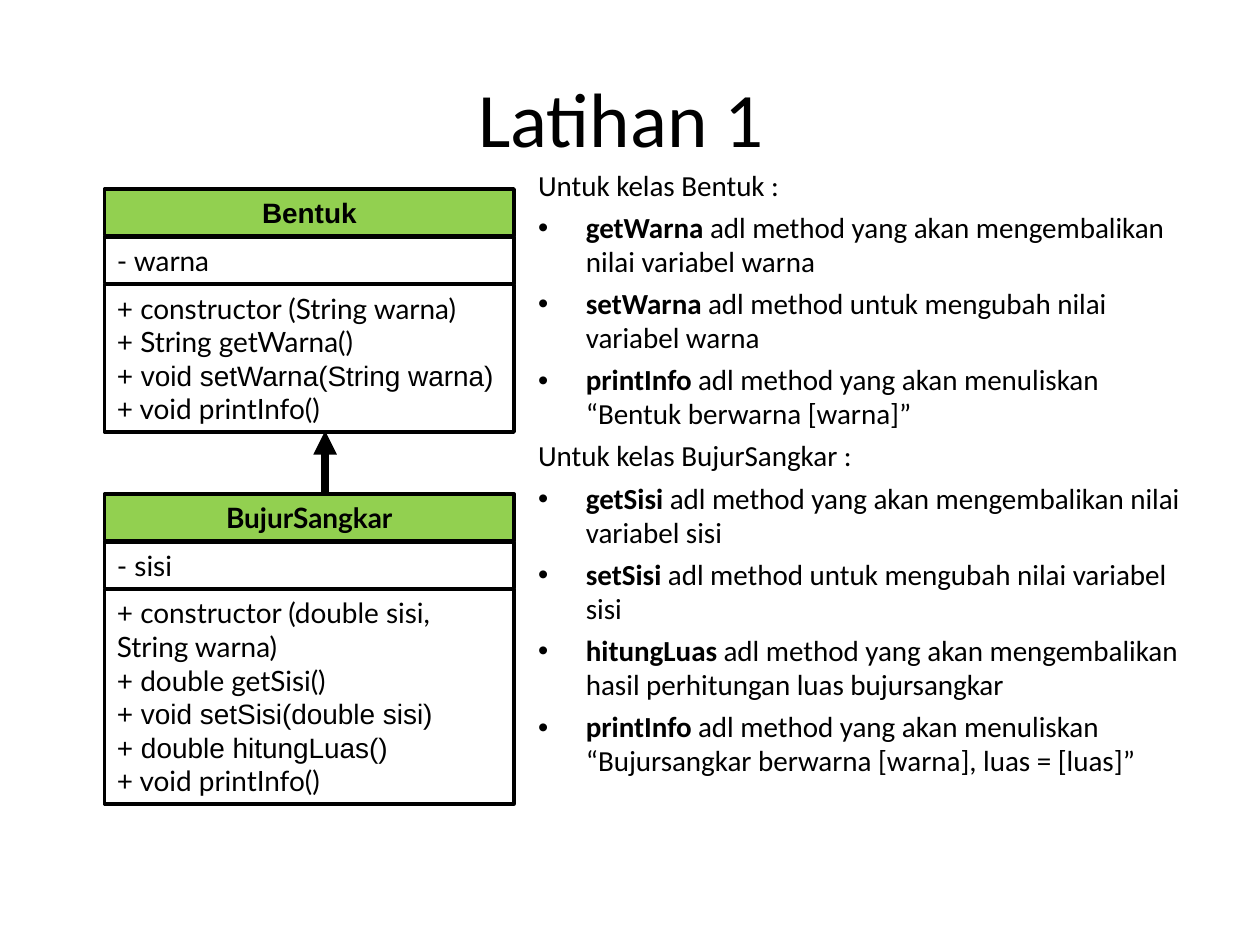
import pptx
import pptx.util
import pptx.dml.color
import pptx.enum.dml
import pptx.enum.shapes
import pptx.enum.text
import pptx.oxml.ns
import lxml.etree

inches = pptx.util.Inches
points = pptx.util.Pt
qualified = pptx.oxml.ns.qn
alignment = pptx.enum.text.PP_ALIGN
anchor = pptx.enum.text.MSO_ANCHOR
auto_size = pptx.enum.text.MSO_AUTO_SIZE


def paint(color_format, color):
    if hasattr(color_format, "solid"):
        color_format.solid()
        color_format = color_format.fore_color
    color_format.rgb = pptx.dml.color.RGBColor.from_string(color)


def add_text(paragraph, text, font_name, size, bold=False):
    run = paragraph.add_run()
    run.text = text
    run.font.name = font_name
    run.font.size = points(size)
    run.font.bold = bold
    paint(run.font.color, "000000")


presentation = pptx.Presentation()
presentation.slide_width = inches(10)
presentation.slide_height = inches(7.5)
width, height = presentation.slide_width, presentation.slide_height
slide = presentation.slides.add_slide(presentation.slide_layouts[1])

title = slide.shapes.title
title.left, title.top = int(width * 0.05), int(height * 0.04)
title.width, title.height = int(width * 0.9), inches(1.25)
title.text_frame.auto_size = auto_size.NONE
title.text_frame.vertical_anchor = anchor.MIDDLE
title.text_frame.paragraphs[0].alignment = alignment.CENTER
add_text(title.text_frame.paragraphs[0], "Latihan 1 ", "Calibri", 44)

body = slide.placeholders[1]
body.left, body.top = inches(4.17), inches(1.29)
body.width, body.height = inches(5.33), inches(5.41)
body.text_frame.auto_size = auto_size.NONE

explanations = [
    ("", "Untuk kelas Bentuk :"),
    ("getWarna", " adl method yang akan mengembalikan nilai variabel warna"),
    ("setWarna", " adl method untuk mengubah nilai variabel warna"),
    ("printInfo", " adl method yang akan menuliskan “Bentuk berwarna [warna]”"),
    ("", "Untuk kelas BujurSangkar :"),
    ("getSisi", " adl method yang akan mengembalikan nilai variabel sisi"),
    ("setSisi", " adl method untuk mengubah nilai variabel sisi"),
    ("hitungLuas", " adl method yang akan mengembalikan hasil perhitungan luas bujursangkar"),
    ("printInfo", " adl method yang akan menuliskan “Bujursangkar berwarna [warna], luas = [luas]”"),
]
for index, (method, description) in enumerate(explanations):
    paragraph = body.text_frame.paragraphs[0] if index == 0 else body.text_frame.add_paragraph()
    paragraph.space_before = points(4.5)
    paragraph.line_spacing = 0.98
    properties = paragraph._p.get_or_add_pPr()
    properties.set("marL", str(inches(0.38)))
    properties.set("indent", str(inches(-0.38)))
    if method:
        bullet = lxml.etree.SubElement(properties, qualified("a:buChar"))
        bullet.set("char", "•")
        add_text(paragraph, method, "Calibri", 16.6, True)
    else:
        lxml.etree.SubElement(properties, qualified("a:buNone"))
    add_text(paragraph, description, "Calibri", 16.6)

box_left, box_width, row = inches(0.83), inches(3.25), inches(0.38)
classes = [
    (1.5, 1.17, [
        [("Bentuk", "Arial")],
        [("- warna", "Lato")],
        [("+ constructor (String warna)", "Lato"),
         ("+ String getWarna()", "Lato"),
         ("+ void setWarna(String warna)", "Arial"),
         ("+ void printInfo()", "Lato")],
    ]),
    (3.92, 1.7, [
        [("BujurSangkar", "Lato")],
        [("- sisi", "Lato")],
        [("+ constructor (double sisi, String warna)", "Lato"),
         ("+ double getSisi()", "Lato"),
         ("+ void setSisi(double sisi)", "Arial"),
         ("+ double hitungLuas()", "Arial"),
         ("+ void printInfo()", "Lato")],
    ]),
]
for class_top, methods_height, compartments in classes:
    group = slide.shapes.add_group_shape()
    for level, lines in enumerate(compartments):
        box_height = inches(methods_height if level == 2 else 0.37)
        shape = group.shapes.add_shape(
            pptx.enum.shapes.MSO_SHAPE.RECTANGLE,
            box_left, inches(class_top) + level * row, box_width, box_height)
        shape.shadow.inherit = False
        paint(shape.line.fill, "000000")
        shape.line.width = points(2)
        if level == 0:
            paint(shape.fill, "92D050")
        else:
            shape.fill.background()
        frame = shape.text_frame
        frame.word_wrap = True
        frame.auto_size = auto_size.SHAPE_TO_FIT_TEXT
        frame.vertical_anchor = anchor.MIDDLE
        for index, (text, font_name) in enumerate(lines):
            paragraph = frame.paragraphs[0] if index == 0 else frame.add_paragraph()
            paragraph.alignment = alignment.CENTER if level == 0 else alignment.LEFT
            add_text(paragraph, text, font_name, 16, level == 0)

inheritance = slide.shapes.add_connector(
    pptx.enum.shapes.MSO_CONNECTOR.STRAIGHT,
    inches(2.58), inches(3.92), inches(2.58), inches(3.42))
paint(inheritance.line.fill, "000000")
inheritance.line.width = points(4.5)
arrowhead = lxml.etree.SubElement(inheritance.line._get_or_add_ln(), qualified("a:tailEnd"))
arrowhead.set("type", "triangle")
lxml.etree.SubElement(inheritance._element.spPr, qualified("a:effectLst"))

presentation.save("out.pptx")
